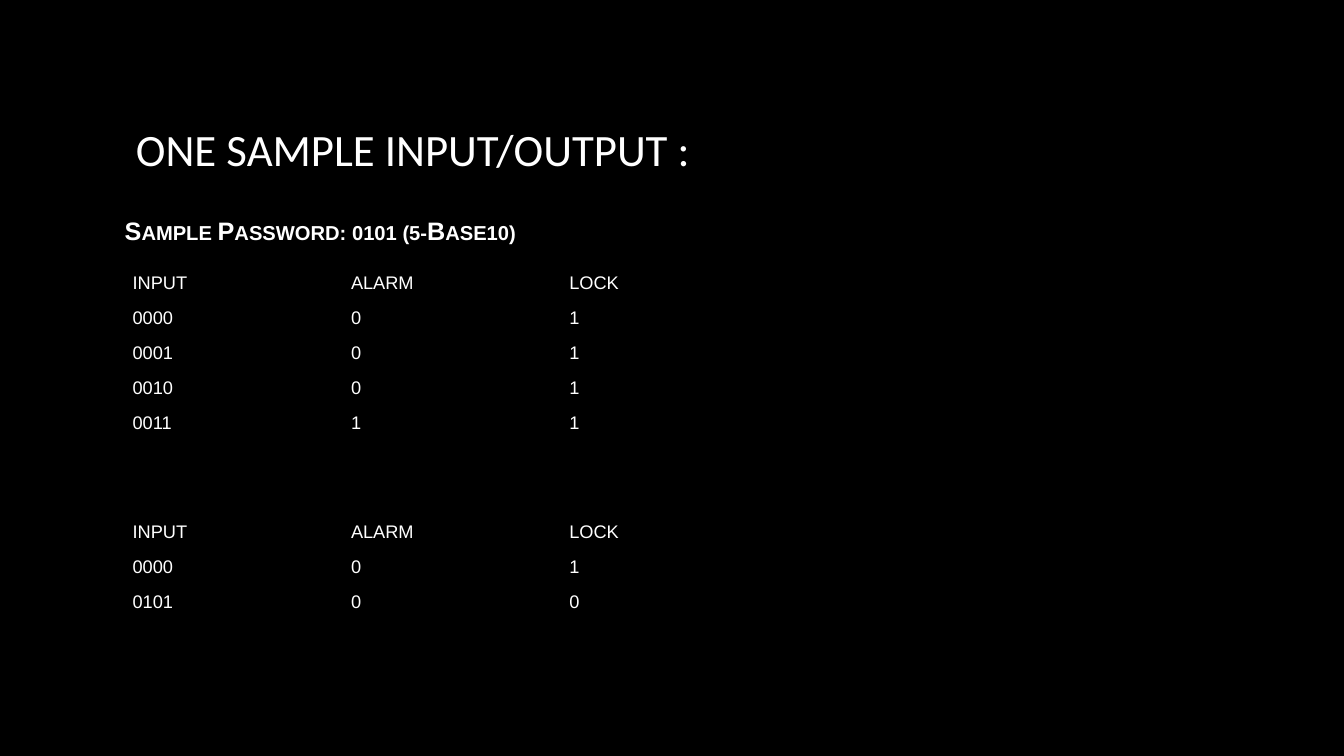
from dataclasses import dataclass

import pptx
import pptx.dml.color
import pptx.enum.text
import pptx.oxml
import pptx.oxml.ns
import pptx.util
from pptx.util import Pt


@dataclass(frozen=True)
class Theme:
    background: str = "000000"
    text: str = "FFFFFF"
    title_font: str = "Calibri"
    body_font: str = "Arial"
    title_size: float = 32
    subtitle_size: float = 18
    table_size: float = 13


THEME = Theme()
TABLE_LEFT = 90
COLUMN_WIDTH = 156
ROW_HEIGHT = 24.4
CELL_MARGIN = 4.75
HEADER = ("INPUT", "ALARM", "LOCK")
WRONG_ATTEMPTS = (("0000", "0", "1"), ("0001", "0", "1"), ("0010", "0", "1"), ("0011", "1", "1"))
CORRECT_ATTEMPT = (("0000", "0", "1"), ("0101", "0", "0"))


def color(value):
    return pptx.dml.color.RGBColor.from_string(value)


def add_run(paragraph, text, font_name, size, bold=False):
    run = paragraph.add_run()
    run.text = text
    run.font.name = font_name
    run.font.size = Pt(size)
    run.font.bold = bold
    run.font.color.rgb = color(THEME.text)
    return run


def add_heading(slide, box, bottom_margin, text, font_name, size, bold=False):
    """Add a middle-anchored line, raised by its bottom margin."""
    shape = slide.shapes.add_textbox(*map(Pt, box))
    frame = shape.text_frame
    frame.word_wrap = True
    frame.vertical_anchor = pptx.enum.text.MSO_ANCHOR.MIDDLE
    frame.margin_bottom = Pt(bottom_margin)
    return add_run(frame.paragraphs[0], text, font_name, size, bold)


def set_small_caps(run):
    run._r.get_or_add_rPr().set("cap", "small")


def add_borders(cell):
    properties = cell._tc.get_or_add_tcPr()
    for position, side in enumerate(("lnL", "lnR", "lnT", "lnB")):
        border = pptx.oxml.parse_xml(
            f'<a:{side} {pptx.oxml.ns.nsdecls("a")} w="{Pt(1)}"><a:solidFill>'
            f'<a:srgbClr val="{THEME.background}"/></a:solidFill></a:{side}>'
        )
        properties.insert(position, border)


def add_signal_table(slide, top, attempts):
    rows = (HEADER, *attempts)
    table = slide.shapes.add_table(
        len(rows), len(HEADER), Pt(TABLE_LEFT), Pt(top),
        Pt(COLUMN_WIDTH * len(HEADER)), Pt(ROW_HEIGHT * len(rows)),
    ).table
    table.first_row = False
    table.horz_banding = False
    for column in table.columns:
        column.width = Pt(COLUMN_WIDTH)
    for row, values in zip(table.rows, rows):
        row.height = Pt(ROW_HEIGHT)
        for cell, value in zip(row.cells, values):
            cell.fill.background()
            cell.margin_left = cell.margin_right = Pt(CELL_MARGIN)
            cell.margin_top = cell.margin_bottom = Pt(CELL_MARGIN)
            add_borders(cell)
            add_run(cell.text_frame.paragraphs[0], value, THEME.body_font, THEME.table_size)


def main():
    presentation = pptx.Presentation()
    presentation.slide_width = Pt(960)
    presentation.slide_height = Pt(540)
    slide = presentation.slides.add_slide(presentation.slide_layouts[6])
    slide.background.fill.solid()
    slide.background.fill.fore_color.rgb = color(THEME.background)

    add_heading(slide, (90, 48, 780, 150), 36.8, "ONE SAMPLE INPUT/OUTPUT :",
                THEME.title_font, THEME.title_size)
    subtitle = add_heading(slide, (82, 53.3, 780, 246.2), 26.8, "Sample Password: 0101 (5-Base10)",
                           THEME.body_font, THEME.subtitle_size, bold=True)
    set_small_caps(subtitle)
    add_signal_table(slide, 190, WRONG_ATTEMPTS)
    add_signal_table(slide, 368, CORRECT_ATTEMPT)
    presentation.save("out.pptx")


if __name__ == "__main__":
    main()
